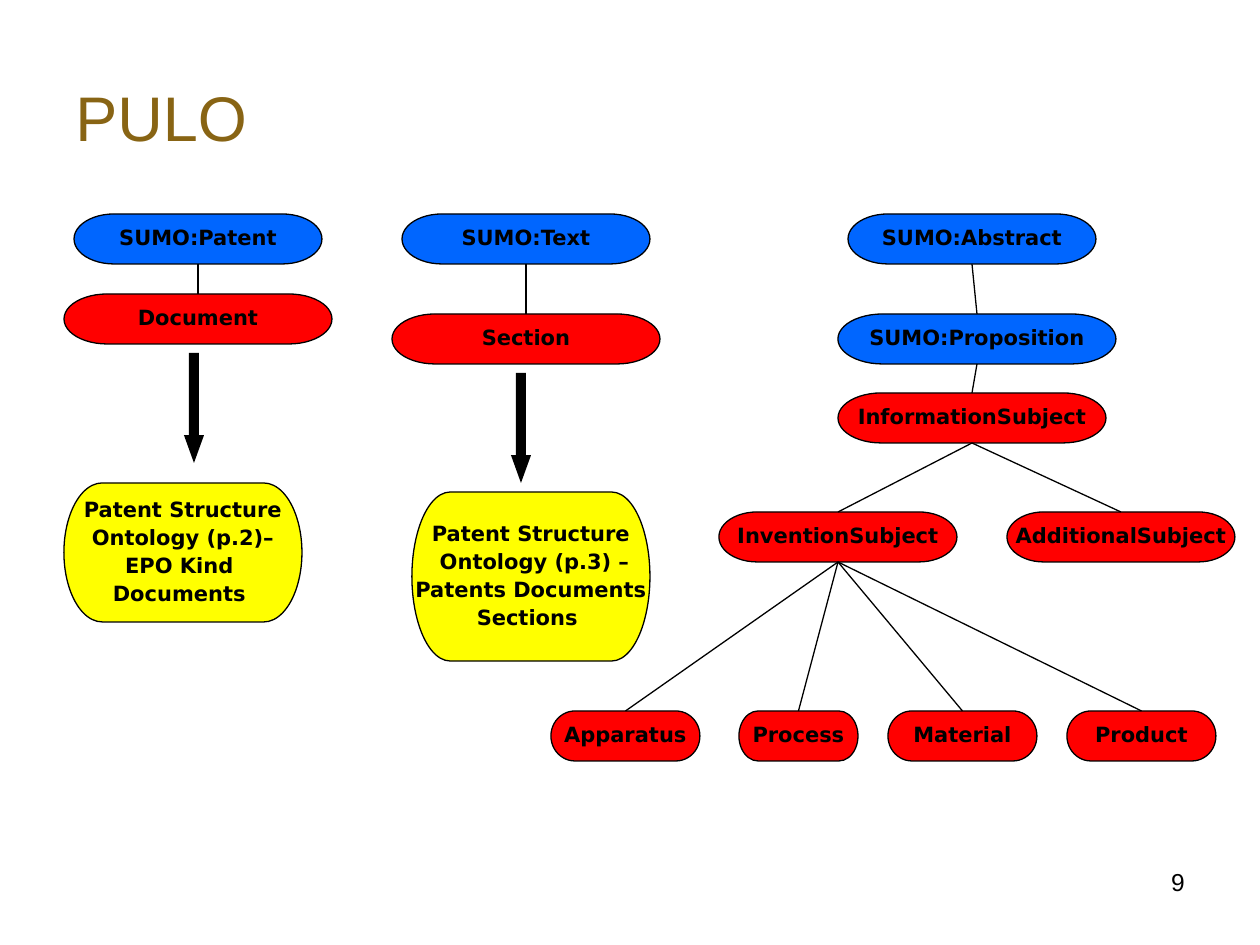
from dataclasses import dataclass

import pptx
import pptx.dml.color
import pptx.enum.shapes
import pptx.enum.text
import pptx.oxml.ns
import pptx.util
from lxml import etree

EMU_PER_PX = 914400 / 126
BLUE, RED, YELLOW, BLACK, BROWN = "0066FF", "FF0000", "FFFF00", "000000", "886414"
BOX_HEIGHT = 50
SHAPES = pptx.enum.shapes.MSO_SHAPE
ALIGN = pptx.enum.text.PP_ALIGN
ANCHOR = pptx.enum.text.MSO_ANCHOR
TOP_SITE, BOTTOM_SITE = 0, 2


@dataclass(frozen=True)
class Node:
    lines: tuple[str, ...]
    left: int
    top: int
    width: int
    fill: str
    height: int = BOX_HEIGHT


def px(length: int) -> int:
    return round(length * EMU_PER_PX)


def color(value: str) -> pptx.dml.color.RGBColor:
    return pptx.dml.color.RGBColor.from_string(value)


def add_span(para, text: str, font: str, size: int, ink: str, bold: bool = False) -> None:
    span = para.add_run()
    span.text = text
    span.font.name = font
    span.font.size = pptx.util.Pt(size)
    span.font.bold = bold
    span.font.color.rgb = color(ink)


def add_label(page, text: str, left: int, top: int, width: int, height: int,
              size: int, ink: str, align, anchor) -> None:
    box = page.shapes.add_textbox(px(left), px(top), px(width), px(height))
    box.text_frame.word_wrap = True
    box.text_frame.vertical_anchor = anchor
    para = box.text_frame.paragraphs[0]
    para.alignment = align
    add_span(para, text, "Arial", size, ink)


def add_shape(page, kind, left: int, top: int, width: int, height: int, fill: str):
    shape = page.shapes.add_shape(kind, px(left), px(top), px(width), px(height))
    shape.shadow.inherit = False
    shape.fill.solid()
    shape.fill.fore_color.rgb = color(fill)
    return shape


def add_node(page, node: Node):
    box = add_shape(page, SHAPES.FLOWCHART_TERMINATOR, node.left, node.top,
                    node.width, node.height, node.fill)
    box.line.color.rgb = color(BLACK)
    box.line.width = pptx.util.Pt(0.75)
    frame = box.text_frame
    frame.word_wrap = False
    frame.vertical_anchor = ANCHOR.MIDDLE
    for index, line in enumerate(node.lines):
        para = frame.add_paragraph() if index else frame.paragraphs[0]
        para.alignment = ALIGN.CENTER
        para.line_spacing = 0.9
        para.space_before = pptx.util.Pt(3)
        add_span(para, line, "DejaVu Sans", 12, BLACK, bold=True)
    return box


def add_link(page, parent, child) -> None:
    link = page.shapes.add_connector(pptx.enum.shapes.MSO_CONNECTOR.STRAIGHT, 0, 0, 0, 0)
    link.begin_connect(parent, BOTTOM_SITE)
    link.end_connect(child, TOP_SITE)
    link.line.color.rgb = color(BLACK)
    link.line.width = pptx.util.Pt(0.75)
    etree.SubElement(link._element.spPr, pptx.oxml.ns.qn("a:effectLst"))


def add_arrow(page, left: int, top: int) -> None:
    arrow = add_shape(page, SHAPES.DOWN_ARROW, left, top, 20, 110, BLACK)
    arrow.adjustments[0] = 0.5
    arrow.adjustments[1] = 1.386
    arrow.line.fill.background()


NODES = {
    # Patent column
    "patent": Node(("SUMO:Patent",), 74, 214, 248, BLUE),
    "document": Node(("Document",), 64, 294, 268, RED),
    "kinds": Node(("Patent Structure", " Ontology (p.2)– ", "EPO Kind ", "Documents "),
                  64, 483, 238, YELLOW, 139),
    # Text column
    "text": Node(("SUMO:Text",), 402, 214, 248, BLUE),
    "section": Node(("Section",), 392, 314, 268, RED),
    "sections": Node(("Patent Structure", " Ontology (p.3) –", " Patents Documents ", "Sections "),
                     412, 492, 238, YELLOW, 169),
    # Abstract tree
    "abstract": Node(("SUMO:Abstract",), 848, 214, 248, BLUE),
    "proposition": Node(("SUMO:Proposition",), 838, 314, 278, BLUE),
    "information": Node(("InformationSubject",), 838, 393, 268, RED),
    "invention": Node(("InventionSubject",), 719, 512, 238, RED),
    "additional": Node(("AdditionalSubject",), 1007, 512, 228, RED),
    "apparatus": Node(("Apparatus",), 551, 711, 149, RED),
    "process": Node(("Process",), 739, 711, 119, RED),
    "material": Node(("Material",), 888, 711, 149, RED),
    "product": Node(("Product",), 1067, 711, 149, RED),
}

CHILDREN = {
    "patent": ("document",),
    "text": ("section",),
    "abstract": ("proposition",),
    "proposition": ("information",),
    "information": ("invention", "additional"),
    "invention": ("apparatus", "process", "material", "product"),
}


def main() -> None:
    deck = pptx.Presentation()
    deck.slide_width, deck.slide_height = px(1260), px(945)
    page = deck.slides.add_slide(deck.slide_layouts[6])

    # Title
    add_label(page, "PULO", 63, 38, 1134, 157, 36, BROWN, ALIGN.LEFT, ANCHOR.MIDDLE)

    # Concepts and their hierarchy
    boxes = {name: add_node(page, node) for name, node in NODES.items()}
    for parent, children in CHILDREN.items():
        for child in children:
            add_link(page, boxes[parent], boxes[child])

    # Arrows to the detailed ontologies
    for left, top in ((184, 353), (511, 373)):
        add_arrow(page, left, top)

    # Page number
    add_label(page, "9", 903, 861, 294, 66, 14, BLACK, ALIGN.RIGHT, ANCHOR.TOP)

    deck.save("out.pptx")


if __name__ == "__main__":
    main()
